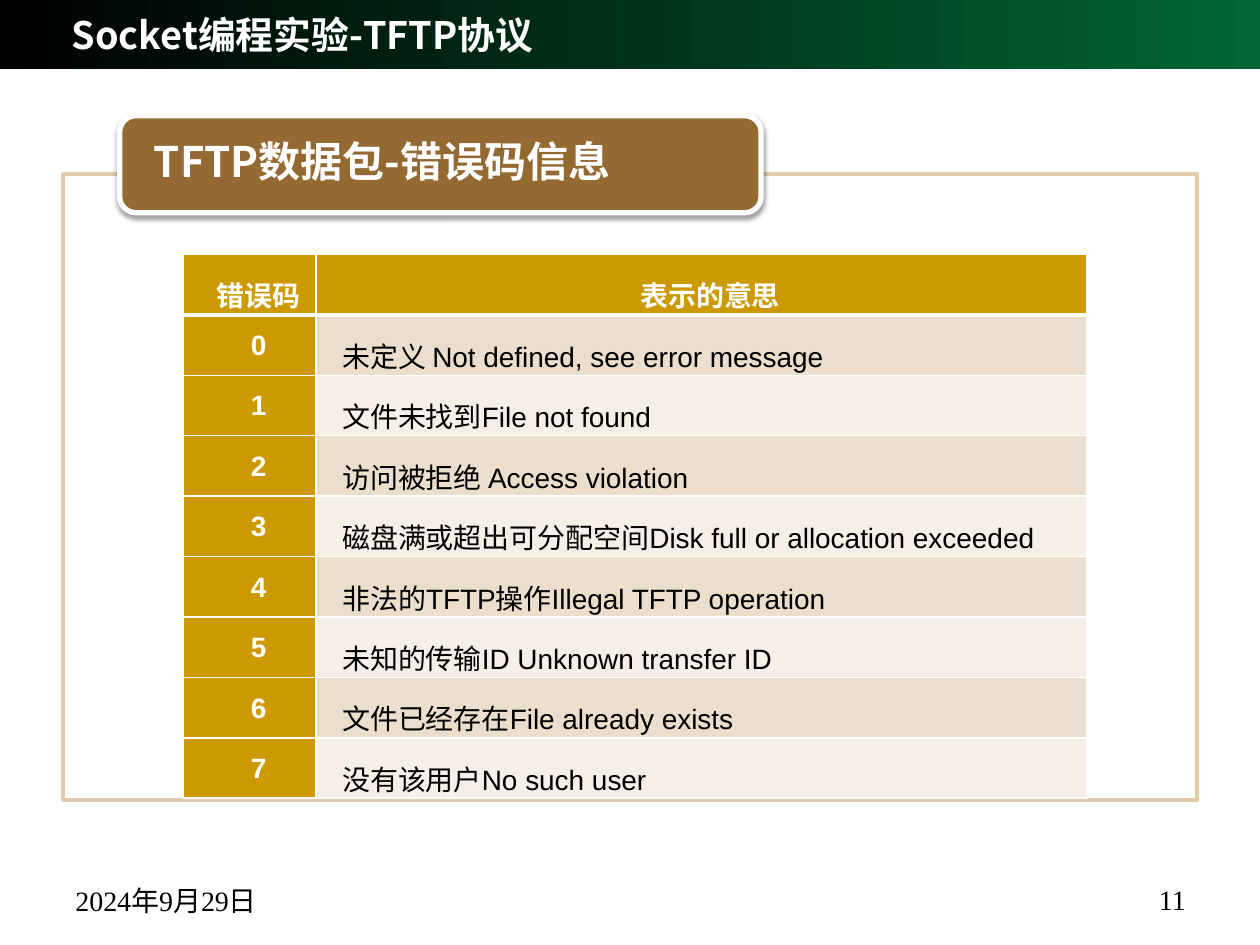
from lxml import etree
from pptx import Presentation
from pptx.dml.color import RGBColor
from pptx.enum.shapes import MSO_SHAPE
from pptx.enum.text import MSO_ANCHOR, PP_ALIGN
from pptx.oxml import parse_xml
from pptx.oxml.ns import nsdecls, qn
from pptx.util import Pt

RECT, ROUND = MSO_SHAPE.RECTANGLE, MSO_SHAPE.ROUNDED_RECTANGLE
TOP, MIDDLE, BOTTOM = MSO_ANCHOR.TOP, MSO_ANCHOR.MIDDLE, MSO_ANCHOR.BOTTOM
LEFT, CENTER, RIGHT = PP_ALIGN.LEFT, PP_ALIGN.CENTER, PP_ALIGN.RIGHT

TITLE = "Socket编程实验-TFTP协议"
BADGE = "TFTP数据包-错误码信息"
DATE, PAGE = "2024年9月29日", "11"
HEAD = ("错误码", "表示的意思")
ERRORS = [
    "未定义 Not defined, see error message",
    "文件未找到File not found",
    "访问被拒绝 Access violation",
    "磁盘满或超出可分配空间Disk full or allocation exceeded",
    "非法的TFTP操作Illegal TFTP operation",
    "未知的传输ID Unknown transfer ID",
    "文件已经存在File already exists",
    "没有该用户No such user",
]
THEME = {
    "white": "FFFFFF", "black": "000000", "green": "006633",
    "brown": "946A32", "tan": "E2CAAA", "gold": "CC9900",
    "bands": ("ECDECC", "F6EFE7"),
    "cjk": "Noto Sans CJK SC", "sans": "Arial", "serif": "Times New Roman",
    "title": 21.6, "badge": 24, "body": 16,
}
WHITE, BLACK = THEME["white"], THEME["black"]
COLS, ROW = (75.6, 440.6), 34.55


def color(code):
    return RGBColor.from_string(code)


def write(frame, text, font="sans", size="body", fill=BLACK, bold=False,
          align=LEFT, anchor=TOP, inset=None, lines=None, after=None, indent=None):
    frame.word_wrap = True
    frame.vertical_anchor = anchor
    if inset is not None:
        frame.margin_left = frame.margin_right = Pt(inset)
        frame.margin_top = frame.margin_bottom = 0
    para = frame.paragraphs[0]
    para.alignment = align
    if lines:
        para.line_spacing = lines
    if after:
        para.space_after = Pt(after)
    if indent:
        props = para._p.get_or_add_pPr()
        props.set("marL", "0")
        props.set("indent", str(Pt(indent)))
    run = para.add_run()
    run.text = text
    run.font.name = THEME[font]
    run.font.size = Pt(THEME[size])
    run.font.bold = bold
    run.font.color.rgb = color(fill)
    asian = etree.SubElement(run.font._element, qn("a:ea"))
    asian.set("typeface", THEME["cjk"])


def draw(slide, kind, box, fill=None, line=None, width=1):
    shape = slide.shapes.add_shape(kind, *map(Pt, box))
    shape.shadow.inherit = False
    if fill:
        shape.fill.solid()
        shape.fill.fore_color.rgb = color(fill)
    if line:
        shape.line.color.rgb = color(line)
        shape.line.width = Pt(width)
    else:
        shape.line.fill.background()
    return shape


def label(slide, box, text, **style):
    area = slide.shapes.add_textbox(*map(Pt, box))
    write(area.text_frame, text, **style)


def banner(slide):
    bar = draw(slide, RECT, (0, 0, 720, 39.6))
    bar.fill.gradient()
    bar.fill.gradient_angle = 0
    for stop, code in zip(bar.fill.gradient_stops, (BLACK, THEME["green"])):
        stop.color.rgb = color(code)
    slide.shapes._spTree.insert(2, bar._element)
    title = slide.shapes.title
    title.left, title.top, title.width, title.height = map(Pt, (33.8, 5.8, 489.6, 28))
    write(title.text_frame, TITLE, font="cjk", size="title", fill=WHITE,
          bold=True, anchor=MIDDLE)


def panel(slide):
    frame = draw(slide, RECT, (36, 99.4, 648, 357.8), WHITE, THEME["tan"], 2)
    tint = frame._element.spPr.find(qn("a:solidFill"))[0]
    etree.SubElement(tint, qn("a:alpha")).set("val", "90000")
    badge = draw(slide, ROUND, (68.4, 66.2, 366.5, 55.4), THEME["brown"], WHITE, 3)
    effects = badge._element.spPr.find(qn("a:effectLst"))
    effects.append(parse_xml(
        f'<a:outerShdw {nsdecls("a")} blurRad="{Pt(3.1)}" dist="{Pt(1.6)}" '
        f'dir="5400000" rotWithShape="0"><a:srgbClr val="{BLACK}">'
        '<a:alpha val="38000"/></a:srgbClr></a:outerShdw>'))
    label(slide, (70.6, 68.4, 380.2, 50.4), BADGE, font="cjk", size="badge",
          fill=WHITE, bold=True, anchor=MIDDLE, inset=17.3, lines=0.9, after=8.4)


def edge(cell, sides):
    """Draw white cell borders; sides maps L, R, T, B to widths."""
    props = cell._tc.get_or_add_tcPr()
    for spot, (side, width) in enumerate(sides.items()):
        props.insert(spot, parse_xml(
            f'<a:ln{side} {nsdecls("a")} w="{Pt(width)}"><a:solidFill>'
            f'<a:srgbClr val="{WHITE}"/></a:solidFill></a:ln{side}>'))


def grid(slide):
    rows = [HEAD] + [(str(code), text) for code, text in enumerate(ERRORS)]
    table = slide.shapes.add_table(len(rows), len(COLS), Pt(104.9), Pt(145.4),
                                   Pt(sum(COLS)), Pt(ROW * len(rows))).table
    for col, width in zip(table.columns, COLS):
        col.width = Pt(width)
    for r, row in enumerate(rows):
        table.rows[r].height = Pt(ROW)
        for c, text in enumerate(row):
            cell = table.cell(r, c)
            key = r == 0 or c == 0
            cell.margin_left = cell.margin_right = Pt(5)
            cell.margin_top = cell.margin_bottom = 0
            cell.fill.solid()
            cell.fill.fore_color.rgb = color(
                THEME["gold"] if key else THEME["bands"][(r - 1) % 2])
            edge(cell, {"L": 1, "R": 1, "T": 3 if r == 1 else 1, "B": 3 if r == 0 else 1})
            write(cell.text_frame, text, fill=WHITE if key else BLACK, bold=key,
                  align=CENTER if key else LEFT, lines=1.5, indent=10.1)


def main():
    deck = Presentation()
    deck.slide_width, deck.slide_height = Pt(720), Pt(540)
    slide = deck.slides.add_slide(deck.slide_layouts[5])
    banner(slide)
    label(slide, (36, 491.8, 167.8, 36), DATE, font="serif", anchor=BOTTOM)
    label(slide, (456.5, 491, 228.2, 36), PAGE, font="serif", anchor=BOTTOM, align=RIGHT)
    panel(slide)
    grid(slide)
    deck.save("out.pptx")


if __name__ == "__main__":
    main()
